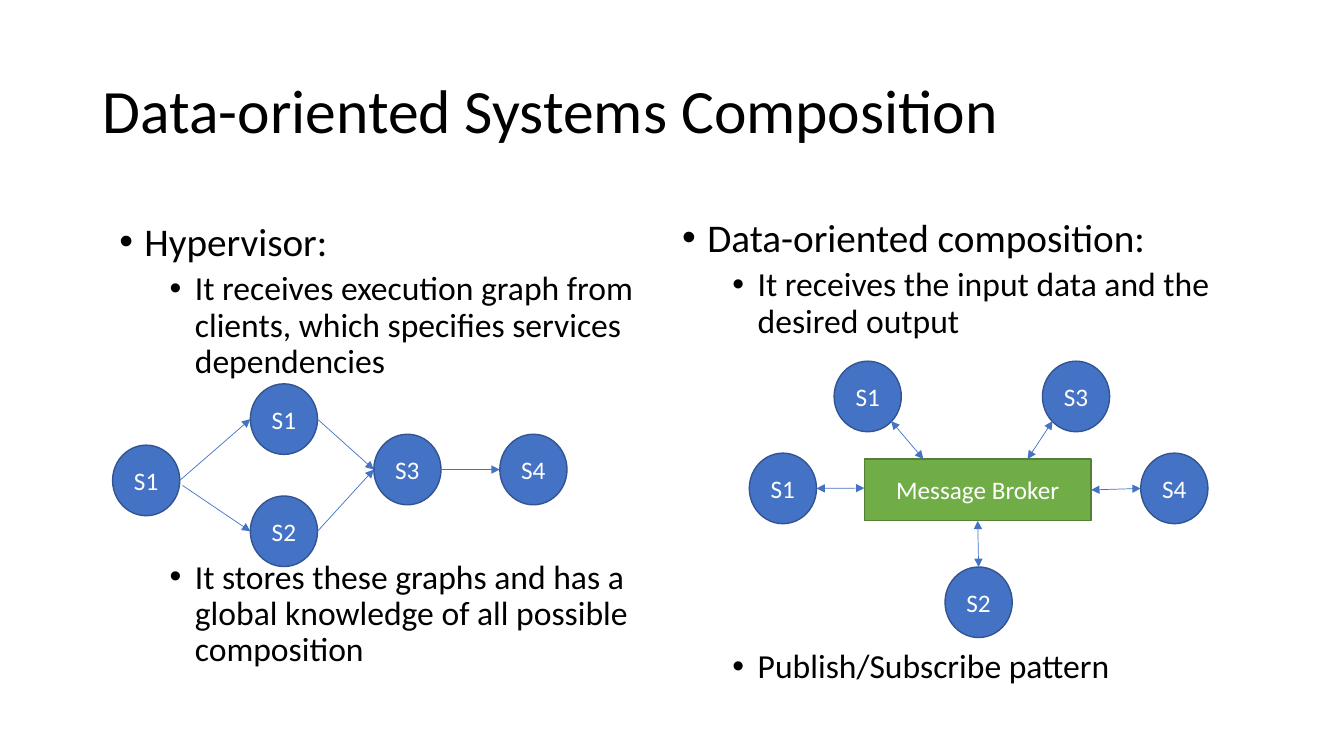
from collections import namedtuple

from pptx import Presentation
from pptx import util as u
from pptx.dml.color import RGBColor
from pptx.enum import shapes, text
from pptx.oxml import ns
from lxml import etree

BLACK = RGBColor(0x00, 0x00, 0x00)
WHITE = RGBColor(0xFF, 0xFF, 0xFF)
BLUE = RGBColor(0x44, 0x72, 0xC4)
NAVY = RGBColor(0x32, 0x54, 0x91)
GREEN = RGBColor(0x70, 0xAD, 0x47)
FOREST = RGBColor(0x53, 0x80, 0x35)

WIDTH, HEIGHT = u.Inches(13.33), u.Inches(7.5)
COLS, ROWS = 160, 90
NODE_W, NODE_H = 8, 8.4

Box = namedtuple("Box", "x y w h")

LEVELS = [
    {"size": 28, "before": 10, "margin": 0.25},
    {"size": 24, "before": 5, "margin": 0.75},
]
LEFT, RIGHT, BOTTOM = (0, 0.5), (1, 0.5), (0.5, 1)


def col(n):
    return round(WIDTH * n / COLS)


def row(n):
    return round(HEIGHT * n / ROWS)


def apply(obj, values):
    for name, value in values.items():
        setattr(obj, name, value)


def place(sp, box):
    apply(sp, {"left": col(box.x), "top": row(box.y),
               "width": col(box.w), "height": row(box.h)})


def write(p, words, size, color):
    r = p.add_run()
    r.text = words
    apply(r.font, {"name": "Calibri", "size": u.Pt(size)})
    r.font.color.rgb = color


def add_title(s, box, words):
    sp = s.shapes.title
    place(sp, box)
    tf = sp.text_frame
    apply(tf, {"vertical_anchor": text.MSO_ANCHOR.MIDDLE, "word_wrap": True,
               "auto_size": text.MSO_AUTO_SIZE.NONE})
    p = tf.paragraphs[0]
    apply(p, {"alignment": text.PP_ALIGN.LEFT, "line_spacing": 0.9})
    write(p, words, 44, BLACK)


def add_bullets(sp, box, items, gap):
    place(sp, box)
    tf = sp.text_frame
    apply(tf, {"vertical_anchor": text.MSO_ANCHOR.TOP, "word_wrap": True,
               "auto_size": text.MSO_AUTO_SIZE.NONE})
    for i, (level, words) in enumerate(items):
        p = tf.add_paragraph() if i else tf.paragraphs[0]
        style = LEVELS[level]
        before = gap if i == len(items) - 1 else style["before"]
        apply(p, {"level": level, "line_spacing": 0.9, "space_before": u.Pt(before)})
        pPr = p._p.get_or_add_pPr()
        pPr.set("marL", str(u.Inches(style["margin"])))
        pPr.set("indent", str(-u.Inches(0.25)))
        etree.SubElement(pPr, ns.qn("a:buFont")).set("typeface", "Arial")
        etree.SubElement(pPr, ns.qn("a:buChar")).set("char", "•")
        write(p, words, style["size"], BLACK)


def add_node(s, kind, box, words, fill, line):
    sp = s.shapes.add_shape(kind, col(box.x), row(box.y), col(box.w), row(box.h))
    sp.shadow.inherit = False
    sp.fill.solid()
    sp.fill.fore_color.rgb = fill
    sp.line.color.rgb = line
    sp.line.width = u.Pt(1)
    tf = sp.text_frame
    apply(tf, {"vertical_anchor": text.MSO_ANCHOR.MIDDLE, "word_wrap": True,
               "margin_left": 0, "margin_right": 0})
    p = tf.paragraphs[0]
    p.alignment = text.PP_ALIGN.CENTER
    write(p, words, 18, WHITE)
    return sp


def add_services(s, box, services):
    return {
        key: add_node(s, shapes.MSO_SHAPE.OVAL,
                      Box(box.x + x, box.y + y, NODE_W, NODE_H), words, BLUE, NAVY)
        for key, words, x, y in services
    }


def point(sp, share):
    return (round(sp.left + sp.width * share[0]),
            round(sp.top + sp.height * share[1]))


def add_arrow(s, start, end, ends):
    c = s.shapes.add_connector(shapes.MSO_CONNECTOR.STRAIGHT, *start, *end)
    c.line.color.rgb = BLUE
    c.line.width = u.Pt(0.5)
    ln = c.line._get_or_add_ln()
    for end_name in ends:
        etree.SubElement(ln, ns.qn("a:" + end_name)).set("type", "triangle")
    etree.SubElement(c._element.spPr, ns.qn("a:effectLst"))


def add_execution_graph(s, box):
    nodes = add_services(s, box, [
        ("start", "S1", 0, 7.3),
        ("upper", "S1", 16.4, 0),
        ("lower", "S2", 16.4, 13.35),
        ("join", "S3", 31.1, 6),
        ("finish", "S4", 46.1, 6),
    ])
    for source, share, target in [
        ("start", RIGHT, "upper"),
        ("start", (1.04, 0.57), "lower"),
        ("upper", RIGHT, "join"),
        ("lower", RIGHT, "join"),
        ("join", RIGHT, "finish"),
    ]:
        add_arrow(s, point(nodes[source], share), point(nodes[target], LEFT),
                  ["tailEnd"])


def add_broker_diagram(s, box):
    nodes = add_services(s, box, [
        ("west", "S1", 0, 10.95),
        ("northwest", "S1", 10.1, 0),
        ("south", "S2", 23.3, 24.5),
        ("northeast", "S3", 34.9, 0),
        ("east", "S4", 46.6, 10.95),
    ])
    broker = add_node(s, shapes.MSO_SHAPE.RECTANGLE,
                      Box(box.x + 13.7, box.y + 11.65, 27, 7.35),
                      "Message Broker", GREEN, FOREST)
    for key, share, broker_share in [
        ("northwest", (0.85, 0.85), (0.26, 0)),
        ("northeast", (0.15, 0.85), (0.72, 0)),
        ("east", LEFT, RIGHT),
        ("south", (0.5, 0), BOTTOM),
        ("west", RIGHT, (0, 0.47)),
    ]:
        add_arrow(s, point(nodes[key], share), point(broker, broker_share),
                  ["headEnd", "tailEnd"])


def add_comparison_slide(prs):
    s = prs.slides.add_slide(prs.slide_layouts[3])
    hypervisor, composition = s.placeholders[1], s.placeholders[2]
    add_title(s, Box(11, 4.8, 138, 17.4), "Data-oriented Systems Composition")
    add_bullets(composition, Box(80, 25.4, 69, 57.1), [
        (0, "Data-oriented composition:"),
        (1, "It receives the input data and the desired output"),
        (1, "Publish/Subscribe pattern"),
    ], 221)
    add_bullets(hypervisor, Box(13, 25.9, 69, 57.1), [
        (0, "Hypervisor:"),
        (1, "It receives execution graph from clients, "
            "which specifies services dependencies"),
        (1, "It stores these graphs and has a global knowledge "
            "of all possible composition"),
    ], 128)
    add_execution_graph(s, Box(13.4, 45.7, 54.1, 21.75))
    add_broker_diagram(s, Box(89.2, 43, 54.6, 32.9))


prs = Presentation()
apply(prs, {"slide_width": WIDTH, "slide_height": HEIGHT})
add_comparison_slide(prs)
prs.save("out.pptx")
